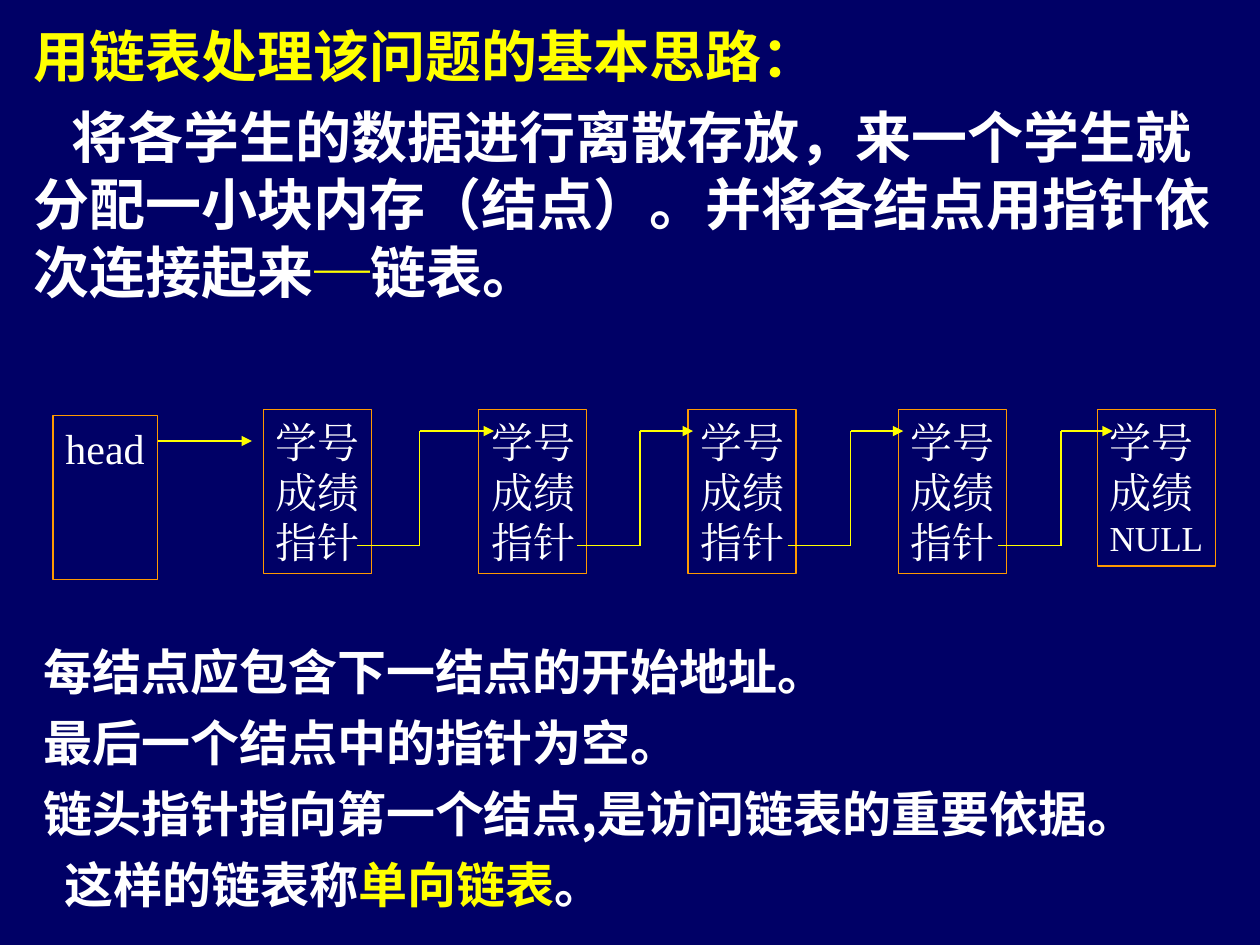
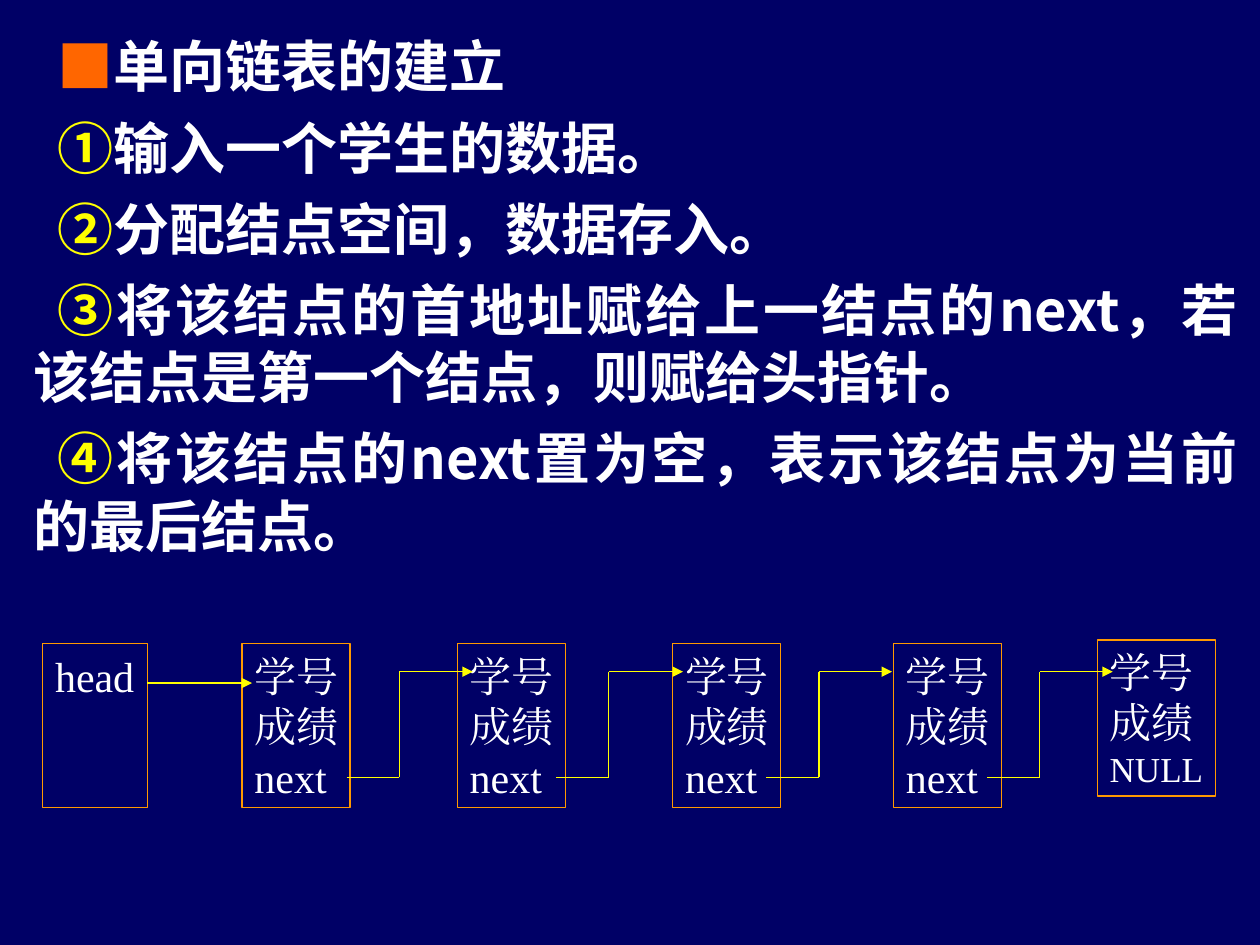
from dataclasses import dataclass

from lxml import etree
from pptx import Presentation
from pptx.dml.color import RGBColor
from pptx.enum.shapes import MSO_CONNECTOR, MSO_SHAPE
from pptx.enum.text import MSO_ANCHOR, MSO_AUTO_SIZE, PP_ALIGN
from pptx.oxml.ns import qn
from pptx.util import Cm, Pt

NAVY = RGBColor(0x00, 0x00, 0x66)
WHITE = RGBColor(0xFF, 0xFF, 0xFF)
YELLOW = RGBColor(0xFF, 0xFF, 0x00)
AMBER = RGBColor(0xFF, 0x99, 0x00)
ORANGE = RGBColor(0xFF, 0x66, 0x00)

LEFT, JUST = PP_ALIGN.LEFT, PP_ALIGN.JUSTIFY
TOP, FIXED = MSO_ANCHOR.TOP, MSO_AUTO_SIZE.NONE
RECT, STRAIGHT = MSO_SHAPE.RECTANGLE, MSO_CONNECTOR.STRAIGHT

SANS, SERIF = "Noto Sans CJK SC", "Times New Roman"
PITCH = 1.2
THIN = Pt(0.75)
MARGIN, WIDTH = 0.43, 24.77
HEAD_W, NODE_W, LAST_W = 2.11, 2.18, 2.39
NODE_H, LAST_H = 3.3, 3.15
LAST_X = 22.12


@dataclass
class Run:
    text: str
    color: RGBColor = WHITE
    size: float = 32
    font: str = SANS
    bold: bool = True


@dataclass
class Para:
    runs: list[Run]
    indent: float = 0
    align: int = LEFT
    gap: float = 0


@dataclass
class Block:
    top: float
    height: float
    paras: list[Para]


@dataclass
class Link:
    bend: float
    end: float


@dataclass
class Chain:
    head: tuple[float, float]
    arrow: float
    nodes: list[float]
    top: float
    last: float
    field: str
    links: list[Link]
    lead: float
    low: float
    high: float


def write(frame, paras: list[Para]) -> None:
    frame.auto_size = FIXED
    frame.vertical_anchor = TOP
    frame.margin_left = frame.margin_right = Cm(0.25)
    frame.margin_top = frame.margin_bottom = Cm(0.13)
    for i, para in enumerate(paras):
        line = frame.paragraphs[0] if i == 0 else frame.add_paragraph()
        line.alignment = para.align
        line.space_before = Pt(para.gap if i else 0)
        line.line_spacing = Pt(round(para.runs[0].size * PITCH, 1))
        props = line._p.get_or_add_pPr()
        props.set("marL", "0")
        props.set("indent", str(Cm(para.indent)))
        for part in para.runs:
            run = line.add_run()
            run.text = part.text
            font = run.font
            font.name, font.size, font.bold = part.font, Pt(part.size), part.bold
            font.color.rgb = part.color
            east = etree.SubElement(font._element, qn("a:ea"))
            east.set("typeface", part.font)


def add_title(slide, block: Block) -> None:
    title = slide.shapes.title
    title.left, title.top = Cm(MARGIN), Cm(block.top)
    title.width, title.height = Cm(WIDTH), Cm(block.height)
    write(title.text_frame, block.paras)


def add_text(slide, block: Block) -> None:
    box = slide.shapes.add_textbox(
        Cm(MARGIN), Cm(block.top), Cm(WIDTH), Cm(block.height))
    box.text_frame.word_wrap = True
    write(box.text_frame, block.paras)


def add_node(slide, x: float, y: float, w: float, h: float,
             rows: list[str]) -> None:
    box = slide.shapes.add_shape(RECT, Cm(x), Cm(y), Cm(w), Cm(h))
    box.shadow.inherit = False
    box.fill.background()
    box.line.color.rgb = AMBER
    box.line.width = THIN
    box.text_frame.word_wrap = False
    write(box.text_frame, [
        Para([Run(row, WHITE, 20 if row == "NULL" else 24, SERIF, False)])
        for row in rows])


def add_line(slide, x1: float, y1: float, x2: float, y2: float,
             arrow: bool = False) -> None:
    line = slide.shapes.add_connector(
        STRAIGHT, Cm(x1), Cm(y1), Cm(x2), Cm(y2))
    line.line.color.rgb = YELLOW
    line.line.width = THIN
    if arrow:
        tip = etree.SubElement(line.line._get_or_add_ln(), qn("a:tailEnd"))
        tip.set("type", "triangle")
    etree.SubElement(line._element.spPr, qn("a:effectLst"))


def add_chain(slide, chain: Chain) -> None:
    x, y = chain.head
    add_node(slide, x, y, HEAD_W, NODE_H, ["head"])
    for left in chain.nodes:
        add_node(slide, left, chain.top, NODE_W, NODE_H,
                 ["学号", "成绩", chain.field])
    add_node(slide, LAST_X, chain.last, LAST_W, LAST_H,
             ["学号", "成绩", "NULL"])
    add_line(slide, x + HEAD_W, chain.arrow, 5.08, chain.arrow, True)
    for link in chain.links:
        bend, low, high = link.bend, chain.low, chain.high
        add_line(slide, bend - chain.lead, low, bend, low)
        add_line(slide, bend, low, bend, high)
        add_line(slide, bend, high, link.end, high, True)


def add_page(deck, title: Block, texts: list[Block], chain: Chain) -> None:
    slide = deck.slides.add_slide(deck.slide_layouts[5])
    add_title(slide, title)
    for block in texts:
        add_text(slide, block)
    add_chain(slide, chain)


def note(text: str) -> Para:
    return Para([Run(text, size=28)], 0.2, gap=7)


def step(mark: str, text: str) -> Para:
    return Para([Run(mark, YELLOW), Run(text)], 0.48, JUST, 8)


def main() -> None:
    deck = Presentation()
    deck.slide_width, deck.slide_height = Cm(25.4), Cm(19.05)
    fill = deck.slide_master.background.fill
    fill.solid()
    fill.fore_color.rgb = NAVY

    idea = Para([
        Run("将各学生的数据进行离散存放，来一个学生就分配一小块内存（结点）。"
            "并将各结点用指针依次连接起来"),
        Run("─", YELLOW), Run("链表。")], 0.76)
    name = Para([Run("这样的链表称", size=28), Run("单向链表", YELLOW, 28),
                 Run("。", size=28)], 0.63, gap=7)
    add_page(
        deck,
        Block(0.3, 1.6, [Para([Run("用链表处理该问题的基本思路：", YELLOW)])]),
        [Block(1.94, 4.4, [idea]),
         Block(12.8, 5.8, [
             note("每结点应包含下一结点的开始地址。"),
             note("最后一个结点中的指针为空。"),
             note("链头指针指向第一个结点,是访问链表的重要依据。"),
             name])],
        Chain((1.07, 8.38), 8.89, [5.31, 9.65, 13.87, 18.11], 8.26, 8.26,
              "指针",
              [Link(8.46, 9.96), Link(12.9, 13.97),
               Link(17.15, 18.21), Link(21.39, 22.43)],
              1.27, 11, 8.69))

    add_page(
        deck,
        Block(0.51, 1.6, [
            Para([Run("■", ORANGE), Run("单向链表的建立")], 0.48)]),
        [Block(2.15, 9.3, [
            step("①", "输入一个学生的数据。"),
            step("②", "分配结点空间，数据存入。"),
            step("③", "将该结点的首地址赋给上一结点的next，"
                 "若该结点是第一个结点，则赋给头指针。"),
            step("④", "将该结点的next置为空，表示该结点为当前的最后结点。")])],
        Chain((0.86, 12.98), 13.77, [4.88, 9.22, 13.56, 18.01], 12.98, 12.9,
              "next",
              [Link(8.05, 9.53), Link(12.27, 13.77),
               Link(16.51, 17.98), Link(20.96, 22.43)],
              1.06, 15.67, 13.54))

    deck.save("out.pptx")


if __name__ == "__main__":
    main()
